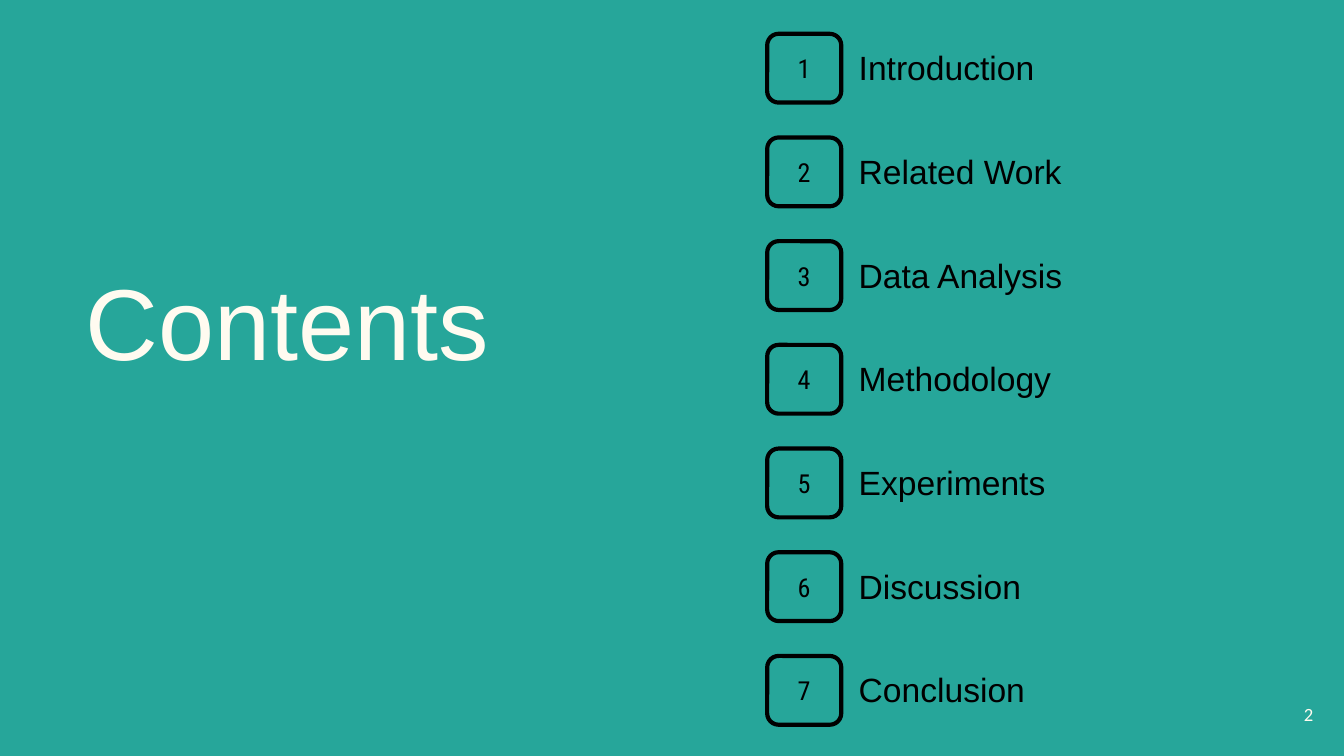
import pptx
import pptx.util
import pptx.dml.color
import pptx.enum.shapes
import pptx.enum.text
from dataclasses import dataclass

Cm = pptx.util.Cm
Pt = pptx.util.Pt
PP_ALIGN = pptx.enum.text.PP_ALIGN
MSO_ANCHOR = pptx.enum.text.MSO_ANCHOR


@dataclass(frozen=True)
class Theme:
    background: str = "26A69A"
    light: str = "FFFBF0"
    dark: str = "000000"
    title_size: float = 54
    topic_size: float = 18
    number_size: float = 14
    page_size: float = 10
    outline: float = 2.25


theme = Theme()


def rgb(value):
    return pptx.dml.color.RGBColor.from_string(value)


def write(shape, text, font, size, color, align, anchor):
    frame = shape.text_frame
    frame.text = text
    frame.word_wrap = True
    frame.auto_size = pptx.enum.text.MSO_AUTO_SIZE.NONE
    frame.vertical_anchor = anchor
    frame.margin_left = frame.margin_right = Cm(0.25)
    frame.margin_top = frame.margin_bottom = Cm(0.25)
    paragraph = frame.paragraphs[0]
    paragraph.alignment = align
    run = paragraph.runs[0]
    run.font.name = font
    run.font.size = Pt(size)
    run.font.color.rgb = rgb(color)


deck = pptx.Presentation()
deck.slide_width = Cm(25.4)
deck.slide_height = Cm(14.29)
slide = deck.slides.add_slide(deck.slide_layouts[5])
slide.background.fill.solid()
slide.background.fill.fore_color.rgb = rgb(theme.background)

heading = slide.shapes.title
heading.left, heading.top = Cm(1.37), Cm(1.47)
heading.width, heading.height = Cm(10.44), Cm(11.35)
write(heading, "Contents", "Arial", theme.title_size, theme.light,
      PP_ALIGN.LEFT, MSO_ANCHOR.MIDDLE)
heading.text_frame.margin_bottom = Cm(2.44)

page_number = slide.shapes.add_textbox(Cm(23.55), Cm(12.95), Cm(1.52), Cm(1.09))
write(page_number, "2", "Calibri", theme.page_size, theme.light,
      PP_ALIGN.RIGHT, MSO_ANCHOR.MIDDLE)

topics = ["Introduction", "Related Work", "Data Analysis", "Methodology",
          "Experiments", "Discussion", "Conclusion"]
first_top = Cm(0.64)
row_pitch = Cm(1.96)

for index, topic in enumerate(topics):
    top = first_top + index * row_pitch
    entry = slide.shapes.add_group_shape()

    badge = entry.shapes.add_shape(pptx.enum.shapes.MSO_SHAPE.ROUNDED_RECTANGLE,
                                   Cm(14.5), top, Cm(1.4), Cm(1.3))
    badge.shadow.inherit = False
    badge.fill.background()
    badge.line.color.rgb = rgb(theme.dark)
    badge.line.width = Pt(theme.outline)
    write(badge, str(index + 1), "Roboto Condensed", theme.number_size, theme.dark,
          PP_ALIGN.CENTER, MSO_ANCHOR.MIDDLE)

    label = entry.shapes.add_textbox(Cm(15.98), top, Cm(9.32), Cm(1.27))
    write(label, topic, "Arial", theme.topic_size, theme.dark,
          PP_ALIGN.LEFT, MSO_ANCHOR.TOP)

deck.save("out.pptx")
